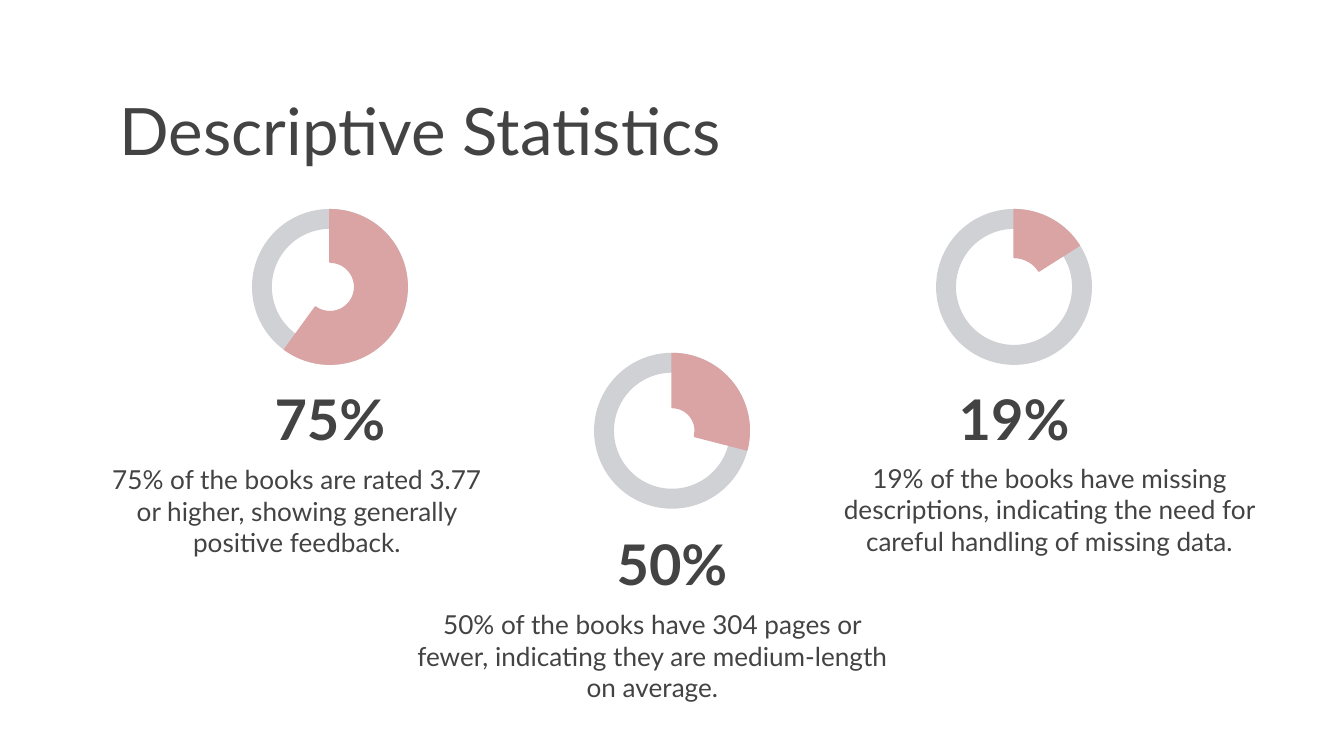
"""Build the descriptive statistics slide with three ring gauges."""
from pptx import Presentation
from pptx.dml.color import RGBColor
from pptx.enum.shapes import MSO_SHAPE
from pptx.enum.text import MSO_ANCHOR, MSO_AUTO_SIZE, PP_ALIGN
from pptx.util import Inches, Pt

DONUT, ARC = MSO_SHAPE.DONUT, MSO_SHAPE.BLOCK_ARC
TOP, BOTTOM = MSO_ANCHOR.TOP, MSO_ANCHOR.BOTTOM
LEFT, CENTER = PP_ALIGN.LEFT, PP_ALIGN.CENTER
NO_AUTOFIT = MSO_AUTO_SIZE.NONE

TEXT = RGBColor(0x43, 0x43, 0x43)
RING = RGBColor(0xD0, 0xD1, 0xD5)
ACCENT = RGBColor(0xD9, 0xA4, 0xA3)
FONT = "Lato"

TITLE = "Descriptive Statistics"
STATS = [
    {"value": "75%", "ring_top": 1.56, "value_top": 2.84, "share": 0.6, "thickness": 0.34,
     "caption": "75% of the books are rated 3.77 or higher, showing generally positive feedback.",
     "caption_box": (0.68, 3.35, 3.06, 0.56)},
    {"value": "50%", "ring_top": 2.63, "value_top": 3.92, "share": 0.29, "thickness": 0.35,
     "caption": "50% of the books have 304 pages or fewer, indicating they are medium-length on average.",
     "caption_box": (2.94, 4.43, 3.83, 0.86)},
    {"value": "19%", "ring_top": 1.56, "value_top": 2.84, "share": 0.16, "thickness": 0.31,
     "caption": "19% of the books have missing descriptions, indicating the need for careful handling of missing data.",
     "caption_box": (5.99, 3.34, 3.64, 0.88)},
]
FIRST_LEFT, LAST_LEFT = 1.88, 6.97
COLUMN_STEP = (LAST_LEFT - FIRST_LEFT) / (len(STATS) - 1)
RING_SIZE, RING_THICKNESS = 1.15, 0.12
VALUE_WIDTH, VALUE_HEIGHT = 2.52, 0.62
START_ANGLE, ADJ_PER_DEGREE = 270, 0.6


def write(sp, text, size, align=CENTER, anchor=TOP, bold=False):
    tf = sp.text_frame
    tf.word_wrap = True
    tf.auto_size = NO_AUTOFIT
    tf.vertical_anchor = anchor
    tf.margin_left = tf.margin_right = tf.margin_top = tf.margin_bottom = Inches(0.1)
    p = tf.paragraphs[0]
    p.alignment = align
    r = p.add_run()
    r.text = text
    r.font.name, r.font.size, r.font.bold = FONT, Pt(size), bold
    r.font.color.rgb = TEXT


def add_text(s, box, text, size, **style):
    write(s.shapes.add_textbox(*map(Inches, box)), text, size, **style)


def add_ring(s, kind, left, top, color, adjustments):
    sp = s.shapes.add_shape(kind, Inches(left), Inches(top), Inches(RING_SIZE), Inches(RING_SIZE))
    sp.shadow.inherit = False
    sp.fill.solid()
    sp.fill.fore_color.rgb = color
    sp.line.color.rgb = color
    sp.line.width = Pt(0.75)
    for i, value in enumerate(adjustments):
        sp.adjustments[i] = value


def add_stat(s, column, stat):
    left, top = FIRST_LEFT + column * COLUMN_STEP, stat["ring_top"]
    value_left = left + (RING_SIZE - VALUE_WIDTH) / 2
    end_angle = (START_ANGLE + 360 * stat["share"]) % 360
    add_ring(s, DONUT, left, top, RING, [RING_THICKNESS])
    add_ring(s, ARC, left, top, ACCENT,
             [START_ANGLE * ADJ_PER_DEGREE, end_angle * ADJ_PER_DEGREE, stat["thickness"]])
    add_text(s, (value_left, stat["value_top"], VALUE_WIDTH, VALUE_HEIGHT),
             stat["value"], 30, anchor=BOTTOM, bold=True)
    add_text(s, stat["caption_box"], stat["caption"], 14)


def main():
    prs = Presentation()
    prs.slide_width = Inches(10)
    prs.slide_height = prs.slide_width * 9 // 16
    s = prs.slides.add_slide(prs.slide_layouts[5])
    title = s.shapes.title
    title.left, title.top, title.width, title.height = map(Inches, (0.79, 0.57, 8.43, 0.63))
    write(title, TITLE, 35, align=LEFT)
    for column, stat in enumerate(STATS):
        add_stat(s, column, stat)
    prs.save("out.pptx")


if __name__ == "__main__":
    main()
